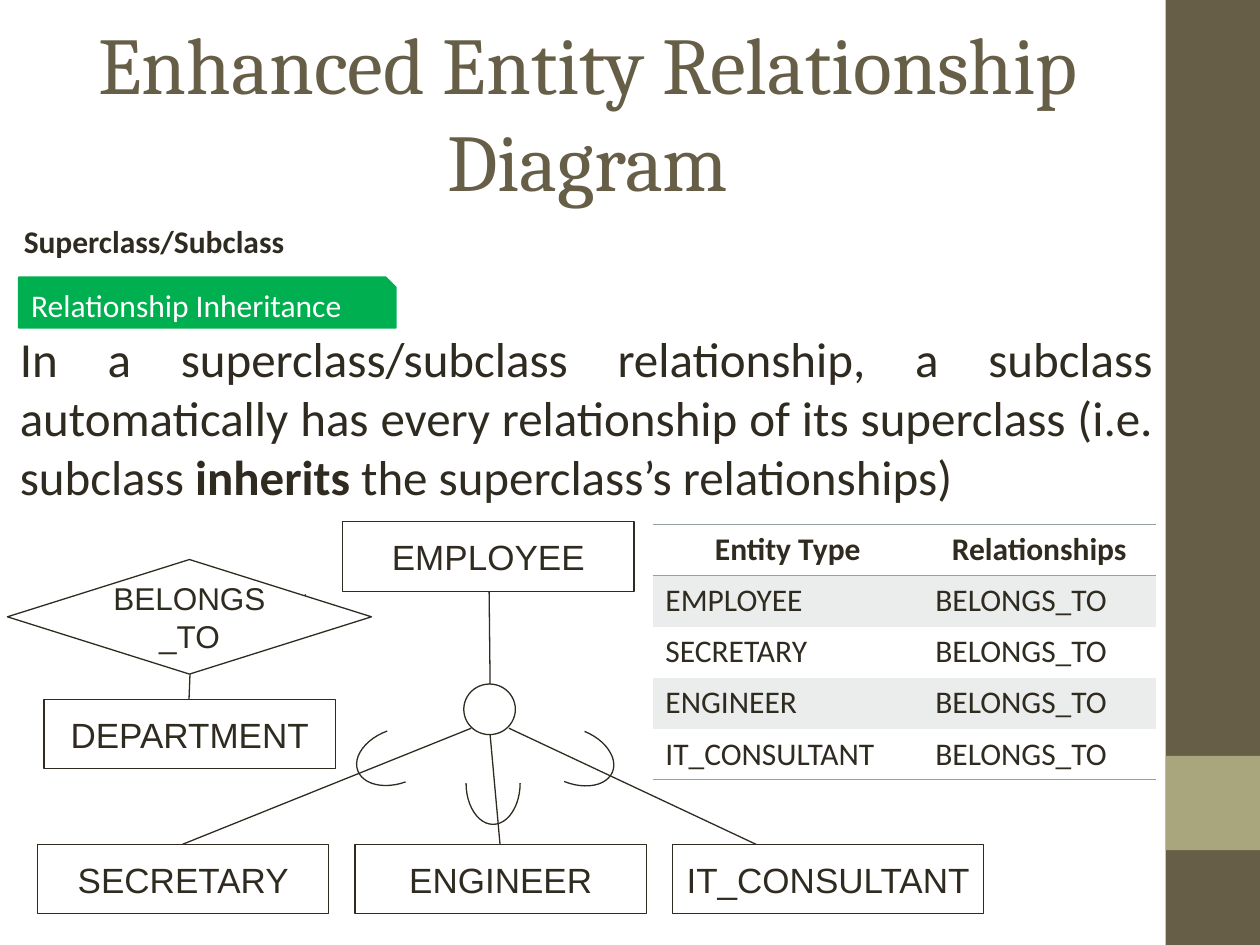
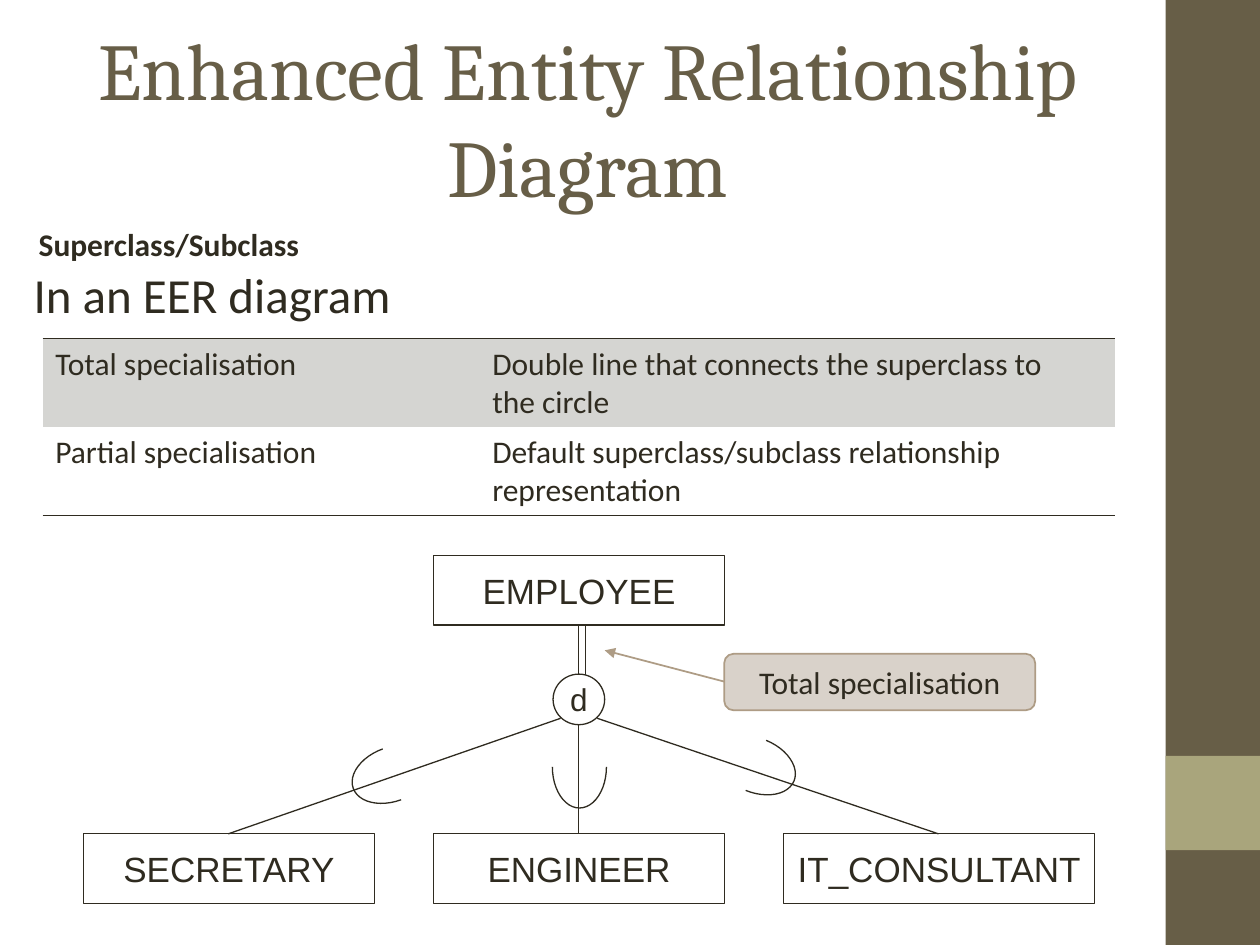
"""Build two slides on superclass/subclass relationships in EER diagrams."""
from dataclasses import dataclass

from lxml.etree import SubElement
from pptx import Presentation
from pptx.dml.color import RGBColor
from pptx.enum.shapes import MSO_CONNECTOR, MSO_SHAPE
from pptx.enum.text import MSO_ANCHOR, PP_ALIGN
from pptx.oxml import parse_xml
from pptx.oxml.ns import nsdecls, qn
from pptx.util import Cm, Pt


@dataclass(frozen=True)
class Theme:
    ink: str = "2F2B20"
    brown: str = "675E47"
    olive: str = "A9A57C"
    green: str = "00B050"
    white: str = "FFFFFF"
    callout: str = "D9D2CA"
    tan: str = "AE9C85"
    sage: str = "95A39D"
    sage_tint: str = "EAEDEB"
    ink_tint: str = "D5D5D2"
    title_font: str = "Cambria"
    body_font: str = "Calibri"
    diagram_font: str = "Arial"
    title_size: int = 46
    body_size: int = 28
    entity_size: int = 20
    small_size: int = 18
    hairline: float = 0.45
    thin: float = 0.75


theme = Theme()


def write(frame, text, size, font=theme.body_font, color=theme.ink,
          bold=False, align=PP_ALIGN.LEFT):
    for index, line in enumerate(text.split("\n")):
        para = frame.add_paragraph() if index else frame.paragraphs[0]
        for part, words in enumerate(line.split("**")):
            span = para.add_run()
            span.text = words
            if part % 2:
                span.font.bold = True
        para.alignment = align
        para.font.size = Pt(size)
        para.font.name = font
        para.font.bold = bold
        para.font.color.rgb = RGBColor.from_string(color)


def draw(page, kind, bounds, fill=None, line=None, width=theme.thin):
    shape = page.shapes.add_shape(kind, *map(Cm, bounds))
    shape.shadow.inherit = False
    if fill:
        shape.fill.solid()
        shape.fill.fore_color.rgb = RGBColor.from_string(fill)
    else:
        shape.fill.background()
    if line:
        shape.line.color.rgb = RGBColor.from_string(line)
        shape.line.width = Pt(width)
    else:
        shape.line.fill.background()
    shape.text_frame.vertical_anchor = MSO_ANCHOR.MIDDLE
    return shape


entity_width, wide_entity_width, entity_height = 5.87, 6.27, 1.4
circle_width, circle_height = 1.04, 1.02
arc_width, arc_height = 1.66, 1.09
arc_turns = (90, 22.2, 160.1)

inheritance = {
    "title_top": 0.64,
    "heading": (0.28, 4.6, 5.72, 0.89),
    "body": (0.15, 6.5, 23.34, 3.61),
    "body_text": "In a superclass/subclass relationship, a subclass automatically has every "
                 "relationship of its superclass (i.e. subclass **inherits** the "
                 "superclass’s relationships)",
    "body_align": PP_ALIGN.JUSTIFY,
    "table_at": (13.16, 10.57),
    "columns": (5.44, 4.7),
    "row_height": 1.03,
    "rows": [("Entity Type", "Relationships")] + [
        (name, "BELONGS_TO")
        for name in ("EMPLOYEE", "SECRETARY", "ENGINEER", "IT_CONSULTANT")],
    "header": True,
    "rule": theme.sage,
    "band": theme.sage_tint,
    "lines": [
        (9.86, 11.92, 9.88, 13.79),
        (9.88, 14.81, 10.08, 17.02),
        (9.5, 14.68, 3.68, 17.02),
        (15.24, 17.02, 10.26, 14.68),
        (6.17, 11.99, 4.78, 12.65),
        (3.83, 13.59, 3.81, 14.1),
    ],
    "entities": [
        ("EMPLOYEE", 6.91, 10.52),
        ("DEPARTMENT", 0.89, 14.1),
        ("SECRETARY", 0.76, 17.02),
        ("ENGINEER", 7.16, 17.02),
        ("IT_CONSULTANT", 13.56, 17.02),
    ],
    "circle": (9.35, 13.79),
    "circle_text": "",
    "arc_centres": [(9.94, 15.79), (11.58, 15.25), (7.99, 15.25)],
}
specialisation = {
    "title_top": 0.76,
    "heading": (0.58, 4.67, 6.15, 0.89),
    "body": (0.43, 5.21, 9, 1.52),
    "body_text": "In an EER diagram",
    "body_align": PP_ALIGN.LEFT,
    "table_at": (0.86, 6.83),
    "columns": (8.81, 12.8),
    "row_height": 1.78,
    "rows": [
        ("Total specialisation",
         "Double line that connects the superclass to\nthe circle"),
        ("Partial specialisation",
         "Default superclass/subclass relationship\nrepresentation"),
    ],
    "header": False,
    "rule": theme.ink,
    "band": theme.ink_tint,
    "lines": [
        (11.66, 12.6, 11.66, 13.59),
        (11.81, 12.6, 11.81, 13.61),
        (11.66, 14.61, 11.66, 16.81),
        (11.3, 14.48, 4.6, 16.81),
        (18.92, 16.81, 12.04, 14.48),
    ],
    "arrow": (14.6, 13.74, 12.19, 13.11),
    "entities": [
        ("EMPLOYEE", 8.74, 11.2),
        ("SECRETARY", 1.68, 16.81),
        ("ENGINEER", 8.74, 16.81),
        ("IT_CONSULTANT", 15.8, 16.81),
    ],
    "circle": (11.15, 13.59),
    "circle_text": "d",
    "arc_centres": [(11.68, 15.46), (15.24, 15.43), (7.9, 15.61)],
}

deck = Presentation()
deck.slide_width, deck.slide_height = Cm(25.4), Cm(19.05)
pages = []

for content in (inheritance, specialisation):
    page = deck.slides.add_slide(deck.slide_layouts[6])
    pages.append(page)
    draw(page, MSO_SHAPE.RECTANGLE, (23.5, 0, 1.9, 19.05), theme.brown)
    draw(page, MSO_SHAPE.RECTANGLE, (23.5, 15.24, 1.9, 1.9), theme.olive)

    title = page.shapes.add_textbox(Cm(1.27), Cm(content["title_top"]), Cm(21.16), Cm(3.18))
    title.text_frame.word_wrap = True
    title.text_frame.vertical_anchor = MSO_ANCHOR.MIDDLE
    write(title.text_frame, "Enhanced Entity Relationship Diagram", theme.title_size,
          theme.title_font, theme.brown, align=PP_ALIGN.CENTER)

    heading = page.shapes.add_textbox(*map(Cm, content["heading"])).text_frame
    heading.word_wrap = True
    heading.margin_left = heading.margin_right = Cm(0.2)
    heading.margin_top = heading.margin_bottom = 0
    write(heading, "Superclass/Subclass", theme.small_size, bold=True)
    heading.paragraphs[0].line_spacing = Pt(18)

    body = page.shapes.add_textbox(*map(Cm, content["body"])).text_frame
    body.word_wrap = True
    write(body, content["body_text"], theme.body_size, align=content["body_align"])

    rows, columns = content["rows"], content["columns"]
    height = content["row_height"]
    table = page.shapes.add_table(
        len(rows), len(columns), *map(Cm, content["table_at"]),
        Cm(sum(columns)), Cm(height * len(rows))).table
    table.first_row = content["header"]
    table.horz_banding = False
    style = table._tbl.tblPr.find(qn("a:tableStyleId"))
    style.text = "{2D5ABB26-0587-4C30-8999-92F81FD0307C}"
    for column, width in zip(table.columns, columns):
        column.width = Cm(width)
    for row_index, row in enumerate(rows):
        table.rows[row_index].height = Cm(height)
        is_header = content["header"] and row_index == 0
        edges = []
        if is_header or row_index == len(rows) - 1:
            edges.append("lnB")
        if row_index == 0:
            edges.append("lnT")
        for column_index, text in enumerate(row):
            cell = table.cell(row_index, column_index)
            if row_index % 2 == content["header"]:
                cell.fill.solid()
                cell.fill.fore_color.rgb = RGBColor.from_string(content["band"])
            else:
                cell.fill.background()
            write(cell.text_frame, text, theme.small_size, bold=is_header,
                  align=PP_ALIGN.CENTER if is_header else PP_ALIGN.LEFT)
            for edge in edges:
                cell._tc.get_or_add_tcPr().insert(0, parse_xml(
                    f'<a:{edge} {nsdecls("a")} w="{int(Pt(theme.hairline))}"><a:solidFill>'
                    f'<a:srgbClr val="{content["rule"]}"/></a:solidFill></a:{edge}>'))

    strokes = [(ends, theme.ink, theme.thin) for ends in content["lines"]]
    if "arrow" in content:
        strokes.append((content["arrow"], theme.tan, 1))
    for ends, color, width in strokes:
        line = page.shapes.add_connector(MSO_CONNECTOR.STRAIGHT, *map(Cm, ends))
        line.line.color.rgb = RGBColor.from_string(color)
        line.line.width = Pt(width)
        if color == theme.tan:
            SubElement(line.line._get_or_add_ln(), qn("a:tailEnd"), type="triangle")
        SubElement(line._element.spPr, qn("a:effectLst"))

    for name, left, top in content["entities"]:
        width = wide_entity_width if name == "IT_CONSULTANT" else entity_width
        entity = draw(page, MSO_SHAPE.RECTANGLE, (left, top, width, entity_height),
                      line=theme.ink)
        entity.text_frame.word_wrap = False
        write(entity.text_frame, name, theme.entity_size, theme.diagram_font,
              align=PP_ALIGN.CENTER)

    circle = draw(page, MSO_SHAPE.OVAL, (*content["circle"], circle_width, circle_height),
                  theme.white, theme.ink)
    if content["circle_text"]:
        circle.text_frame.word_wrap = False
        write(circle.text_frame, content["circle_text"], theme.small_size,
              theme.diagram_font, align=PP_ALIGN.CENTER)

    for (x, y), turn in zip(content["arc_centres"], arc_turns):
        arc = draw(page, MSO_SHAPE.ARC,
                   (x - arc_width / 2, y - arc_height / 2, arc_width, arc_height),
                   line=theme.ink)
        arc.adjustments[1] = 54
        arc.rotation = turn

inheritance_page, specialisation_page = pages

tag = draw(inheritance_page, MSO_SHAPE.SNIP_1_RECTANGLE, (0.38, 5.59, 7.6, 1.02),
           theme.green, theme.green, 1)
tag.adjustments[0] = 0.2
write(tag.text_frame, "Relationship Inheritance", theme.small_size, color=theme.white)

relationship = draw(inheritance_page, MSO_SHAPE.DIAMOND, (0.15, 11.28, 7.34, 2.31),
                    theme.white, theme.ink)
relationship.text_frame.word_wrap = True
write(relationship.text_frame, "BELONGS_TO", theme.small_size, theme.diagram_font,
      align=PP_ALIGN.CENTER)

callout = draw(specialisation_page, MSO_SHAPE.ROUNDED_RECTANGLE, (14.6, 13.18, 6.27, 1.14),
               theme.callout, theme.tan, 1)
write(callout.text_frame, "Total specialisation", theme.small_size, align=PP_ALIGN.CENTER)

deck.save("out.pptx")
